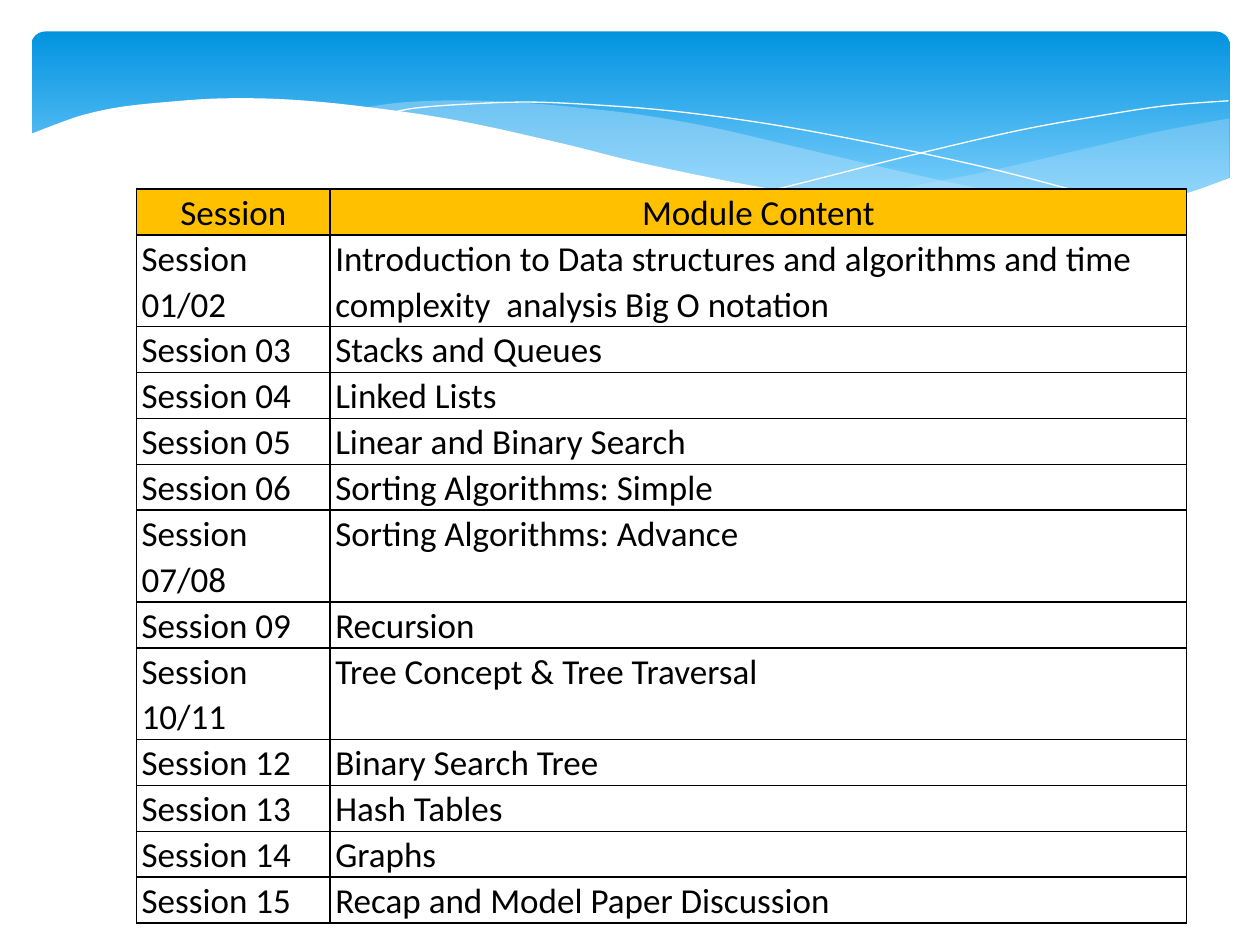
from lxml.etree import SubElement
from pptx import Presentation
from pptx.dml.color import RGBColor as RGB
from pptx.enum.shapes import MSO_SHAPE as Shape
from pptx.enum.text import PP_ALIGN as Align
from pptx.oxml.ns import qn
from pptx.util import Pt

# Content
HEAD = ("Session", "Module Content")
ROWS = [
    ("Session 01/02", "Introduction to Data structures and algorithms and time "
                      "complexity  analysis Big O notation"),
    ("Session 03", "Stacks and Queues"),
    ("Session 04", "Linked Lists"),
    ("Session 05", "Linear and Binary Search"),
    ("Session 06", "Sorting Algorithms: Simple"),
    ("Session 07/08", "Sorting Algorithms: Advance"),
    ("Session 09", "Recursion"),
    ("Session 10/11", "Tree Concept & Tree Traversal"),
    ("Session 12", "Binary Search Tree"),
    ("Session 13", "Hash Tables"),
    ("Session 14", "Graphs"),
    ("Session 15", "Recap and Model Paper Discussion"),
]

THEME = {
    "font": "Calibri", "size": 20, "ink": "000000", "head": "FFC000",
    "sky": ("0293E0", "83D3FE"), "wave": "C6E7FC", "paper": "FFFFFF",
}

# Knots of the banner curves, in points; each list is one smooth run
RIGHT = [
    [(702.5, 67.7), (663, 75), (620, 85), (561, 98.6), (476, 115)],
    [(476, 115), (507.6, 118.8), (545, 122.4), (586, 123.8), (621.4, 122.4),
     (657.4, 116.6), (683.3, 109.4), (702.5, 101.5)],
]
MIDDLE = [
    [(643, 120.2), (602.6, 114.5), (558, 107.3), (508.3, 96.5), (452.9, 83.5),
     (409.7, 73.4), (370, 66.2), (334.8, 61.9), (302.4, 59), (273.6, 57.6),
     (247.7, 57.6), (225.4, 59), (206, 61.9)],
    [(206, 61.9), (246.2, 67.7), (290.9, 76.3), (323.3, 83.5), (381.6, 97.2),
     (432.7, 108), (478.8, 115.9), (519.8, 121), (556.6, 123.8), (589, 124.6),
     (617, 123.1), (643, 120.2)],
]
FALL = [[(222.5, 64.8), (236.2, 61.9), (261.4, 59.8), (299.5, 58.3),
         (337.7, 59.8), (383.8, 63.4), (437.8, 70.6), (500.4, 82.1),
         (572.4, 97.9), (653, 119.5)]]
RISE = [[(441.4, 108.7), (470.2, 101.5), (518.4, 89.3), (580.3, 74.9),
         (623.5, 67), (665.3, 60.5), (702, 57.6)]]
FRONT = [
    [(703.4, 101.5), (676.8, 110.9), (647.3, 118.1), (612, 122.4),
     (582.5, 123.1), (547.9, 122.4), (509.8, 118.8), (466.6, 112.3),
     (416.9, 103.7), (362.2, 92.2), (321.8, 82.1), (262.8, 69.1),
     (210.2, 61.2), (165.6, 56.9), (127.4, 56.2), (95, 58.3), (68.4, 61.2),
     (48.2, 65.5), (33.1, 70.6), (16.6, 77)],
    [(16.6, 161.3), (703.4, 161.3)],
]


def rgb(name):
    return RGB.from_string(THEME[name])


def smooth(knots, steps=5):
    """Points of a Catmull-Rom curve through the knots."""
    ends = [knots[0], *knots, knots[-1]]
    points = [knots[0]]
    for a, b, c, d in zip(ends, ends[1:], ends[2:], ends[3:]):
        for i in range(1, steps + 1):
            t = i / steps
            points.append(tuple(
                (2 * q + (r - p) * t + (2 * p - 5 * q + 4 * r - s) * t ** 2
                 + (3 * q - p - 3 * r + s) * t ** 3) / 2
                for p, q, r, s in zip(a, b, c, d)))
    return points


def curve(slide, runs, closed):
    points = [(Pt(x), Pt(y)) for run in runs for x, y in smooth(run)]
    pen = slide.shapes.build_freeform(*points[0])
    pen.add_line_segments(points[1:], close=closed)
    shape = pen.convert_to_shape()
    shape.shadow.inherit = False
    return shape


def area(slide, runs, color, alpha=100):
    shape = curve(slide, runs, True)
    shape.line.fill.background()
    shape.fill.solid()
    shape.fill.fore_color.rgb = rgb(color)
    if alpha < 100:
        tint = shape._element.spPr.find(qn("a:solidFill"))[0]
        SubElement(tint, qn("a:alpha"), val=str(alpha * 1000))


def stroke(slide, runs):
    shape = curve(slide, runs, False)
    shape.fill.background()
    shape.line.color.rgb = rgb("paper")
    shape.line.width = Pt(0)


def banner(slide):
    sky = slide.shapes.add_shape(
        Shape.ROUNDED_RECTANGLE, Pt(18), Pt(18), Pt(684.7), Pt(112.3))
    sky.adjustments[0] = 0.07
    sky.shadow.inherit = False
    sky.line.fill.background()
    sky.fill.gradient()
    sky.fill.gradient_angle = 270
    for stop, color, place in zip(sky.fill.gradient_stops, THEME["sky"], (0, 0.9)):
        stop.color.rgb = RGB.from_string(color)
        stop.position = place
    area(slide, RIGHT, "wave", 29)
    area(slide, MIDDLE, "wave", 40)
    stroke(slide, FALL)
    stroke(slide, RISE)
    area(slide, FRONT, "paper")


def border(cell):
    props = cell._tc.get_or_add_tcPr()
    for i, side in enumerate(("lnL", "lnR", "lnT", "lnB")):
        line = props.makeelement(qn("a:" + side), {"w": str(Pt(1))})
        fill = SubElement(line, qn("a:solidFill"))
        SubElement(fill, qn("a:srgbClr"), val=THEME["ink"])
        props.insert(i, line)


def write(cell, text, head):
    cell.margin_left = cell.margin_right = Pt(2.9)
    cell.margin_top = cell.margin_bottom = 0
    if head:
        cell.fill.solid()
        cell.fill.fore_color.rgb = rgb("head")
    else:
        cell.fill.background()
    border(cell)
    para = cell.text_frame.paragraphs[0]
    para.alignment = Align.CENTER if head else Align.LEFT
    para.line_spacing = 1.07
    run = para.add_run()
    run.text = text
    run.font.name = THEME["font"]
    run.font.size = Pt(THEME["size"])
    run.font.color.rgb = rgb("ink")


def plan(slide):
    data = [HEAD, *ROWS]
    frame = slide.shapes.add_table(
        len(data), len(HEAD), Pt(78), Pt(108), Pt(600), Pt(396))
    table = frame.table
    table.first_row = table.horz_banding = False
    for col, width in zip(table.columns, (110.7, 489.3)):
        col.width = Pt(width)
    for r, texts in enumerate(data):
        table.rows[r].height = Pt(21.6 if r else 10.8)
        for c, text in enumerate(texts):
            write(table.cell(r, c), text, r == 0)


def main():
    deck = Presentation()
    deck.slide_width, deck.slide_height = Pt(720), Pt(540)
    slide = deck.slides.add_slide(deck.slide_layouts[6])
    banner(slide)
    plan(slide)
    deck.save("out.pptx")


if __name__ == "__main__":
    main()
